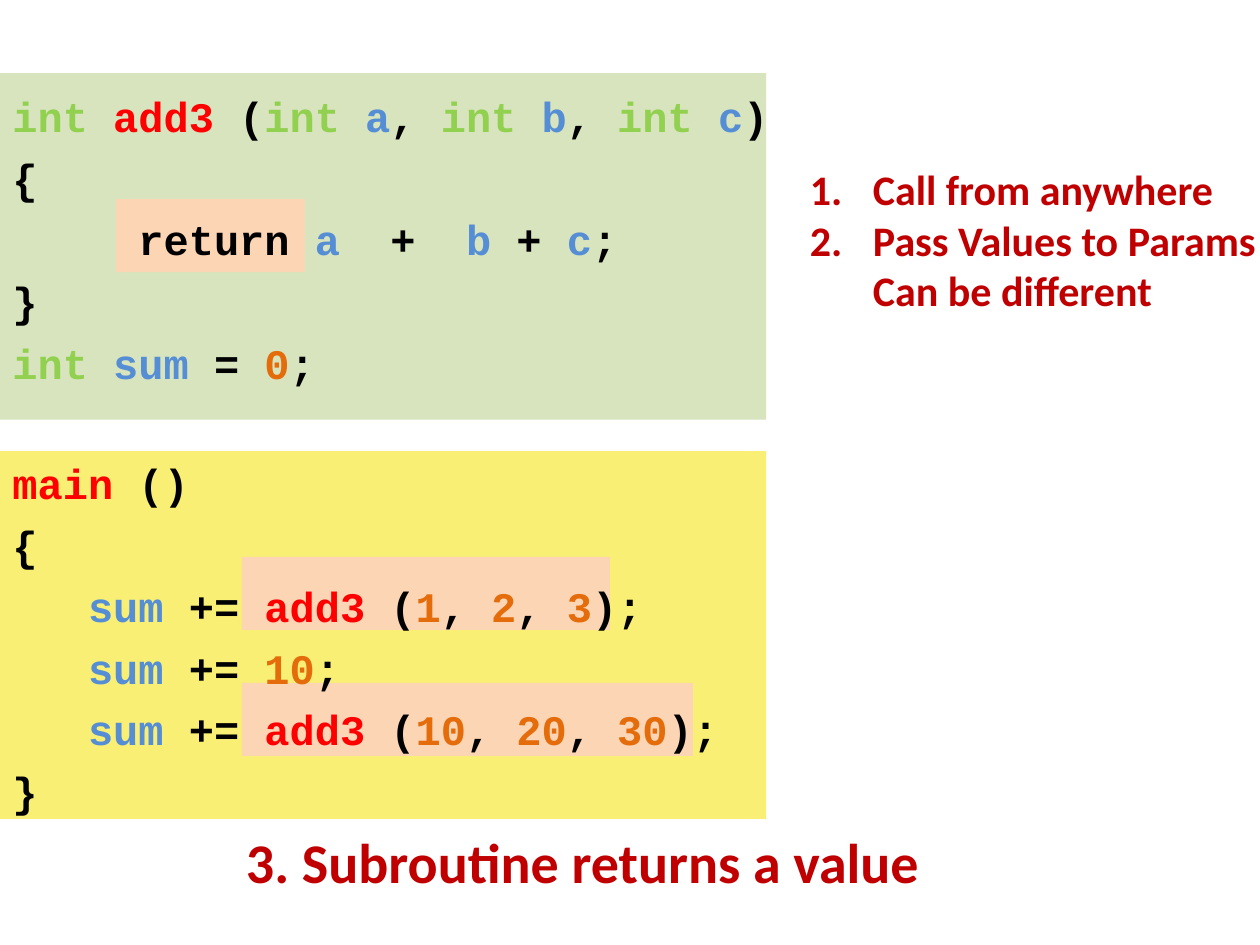
from itertools import groupby

from lxml import etree
from pptx import Presentation
from pptx.dml.color import RGBColor
from pptx.enum.shapes import MSO_SHAPE as SHAPE
from pptx.enum.text import PP_ALIGN as ALIGN
from pptx.oxml.ns import qn
from pptx.util import Inches, Pt

BLACK = RGBColor(0x00, 0x00, 0x00)
GREEN = RGBColor(0x92, 0xD0, 0x50)
RED = RGBColor(0xFF, 0x00, 0x00)
BLUE = RGBColor(0x55, 0x8E, 0xD5)
ORANGE = RGBColor(0xE4, 0x6C, 0x0A)
CRIMSON = RGBColor(0xC0, 0x00, 0x00)
PALE_GREEN = RGBColor(0xD7, 0xE4, 0xBD)
YELLOW = RGBColor(0xF8, 0xEF, 0x74)
PEACH = RGBColor(0xFC, 0xD5, 0xB5)

# Left, top, width, height, fill
PANELS = [
    (0, 0.58, 6.08, 2.75, PALE_GREEN),
    (0, 3.58, 6.08, 2.92, YELLOW),
    (1.92, 4.42, 2.92, 0.58, PEACH),
    (1.92, 5.42, 3.58, 0.58, PEACH),
    (0.92, 1.58, 1.5, 0.58, PEACH),
]

# Indent in inches, line of code
SUBROUTINE = [
    (0, "int add3 (int a, int b, int c)"),
    (0, "{"),
    (1, "return a  +  b + c;"),
    (0, "}"),
    (0, "int sum = 0;"),
]
MAIN = [
    (0, "main ()"),
    (0, "{"),
    (0.6, "sum += add3 (1, 2, 3);"),
    (0.6, "sum += 10;"),
    (0.6, "sum += add3 (10, 20, 30);"),
    (0, "}"),
]
WORD_COLORS = {"int": GREEN, "add3": RED, "main": RED,
               "a": BLUE, "b": BLUE, "c": BLUE, "sum": BLUE}
CONCLUSION = "3. Subroutine returns a value"
STEPS = ["Call from anywhere", "Pass Values to Params\nCan be different"]

LINE_GAP = Pt(6.4)
BLOCK_GAP = Pt(40)


def style(r, font, size, color):
    r.font.name = font
    r.font.size = Pt(size)
    r.font.bold = True
    r.font.color.rgb = color


def add_text_box(slide, left, top, width, height, wrap):
    box = slide.shapes.add_textbox(
        Inches(left), Inches(top), Inches(width), Inches(height))
    tf = box.text_frame
    tf.word_wrap = wrap
    return tf


def add_code_line(p, indent, line):
    if indent:
        p._p.get_or_add_pPr().set("marL", str(Inches(indent)))
    for is_word, chars in groupby(line, str.isalnum):
        r = p.add_run()
        r.text = "".join(chars)
        color = ORANGE if r.text.isdigit() else WORD_COLORS.get(r.text, BLACK)
        style(r, "Courier New", 24, color)


def number(p):
    pPr = p._p.get_or_add_pPr()
    pPr.set("marL", str(Inches(0.5)))
    pPr.set("indent", str(Inches(-0.5)))
    etree.SubElement(pPr, qn("a:buFont"), typeface="+mj-lt")
    etree.SubElement(pPr, qn("a:buAutoNum"), type="arabicPeriod")


def main():
    prs = Presentation()
    prs.slide_width, prs.slide_height = Inches(10), Inches(7.5)
    s = prs.slides.add_slide(prs.slide_layouts[6])

    # Code panels and highlights
    for left, top, width, height, fill in PANELS:
        sp = s.shapes.add_shape(SHAPE.RECTANGLE, Inches(left), Inches(top),
                                Inches(width), Inches(height))
        sp.shadow.inherit = False
        sp.fill.solid()
        sp.fill.fore_color.rgb = fill
        sp.line.fill.background()

    # Code, coloured word by word
    tf = add_text_box(s, 0, 0.67, 9.25, 6.83, True)
    for i, (indent, line) in enumerate(SUBROUTINE + MAIN):
        p = tf.add_paragraph() if i else tf.paragraphs[0]
        p.space_before = BLOCK_GAP if i == len(SUBROUTINE) else LINE_GAP
        add_code_line(p, indent, line)

    # Conclusion under the code
    p = tf.add_paragraph()
    p.text = CONCLUSION
    p.alignment = ALIGN.CENTER
    p.space_before = LINE_GAP
    style(p.runs[0], "Calibri", 32, CRIMSON)

    # Numbered steps
    tf = add_text_box(s, 6.33, 1.25, 3.78, 2.12, False)
    for i, step in enumerate(STEPS):
        p = tf.add_paragraph() if i else tf.paragraphs[0]
        p.text = step
        number(p)
        for r in p.runs:
            style(r, "Calibri", 24, CRIMSON)

    prs.save("out.pptx")


if __name__ == "__main__":
    main()
